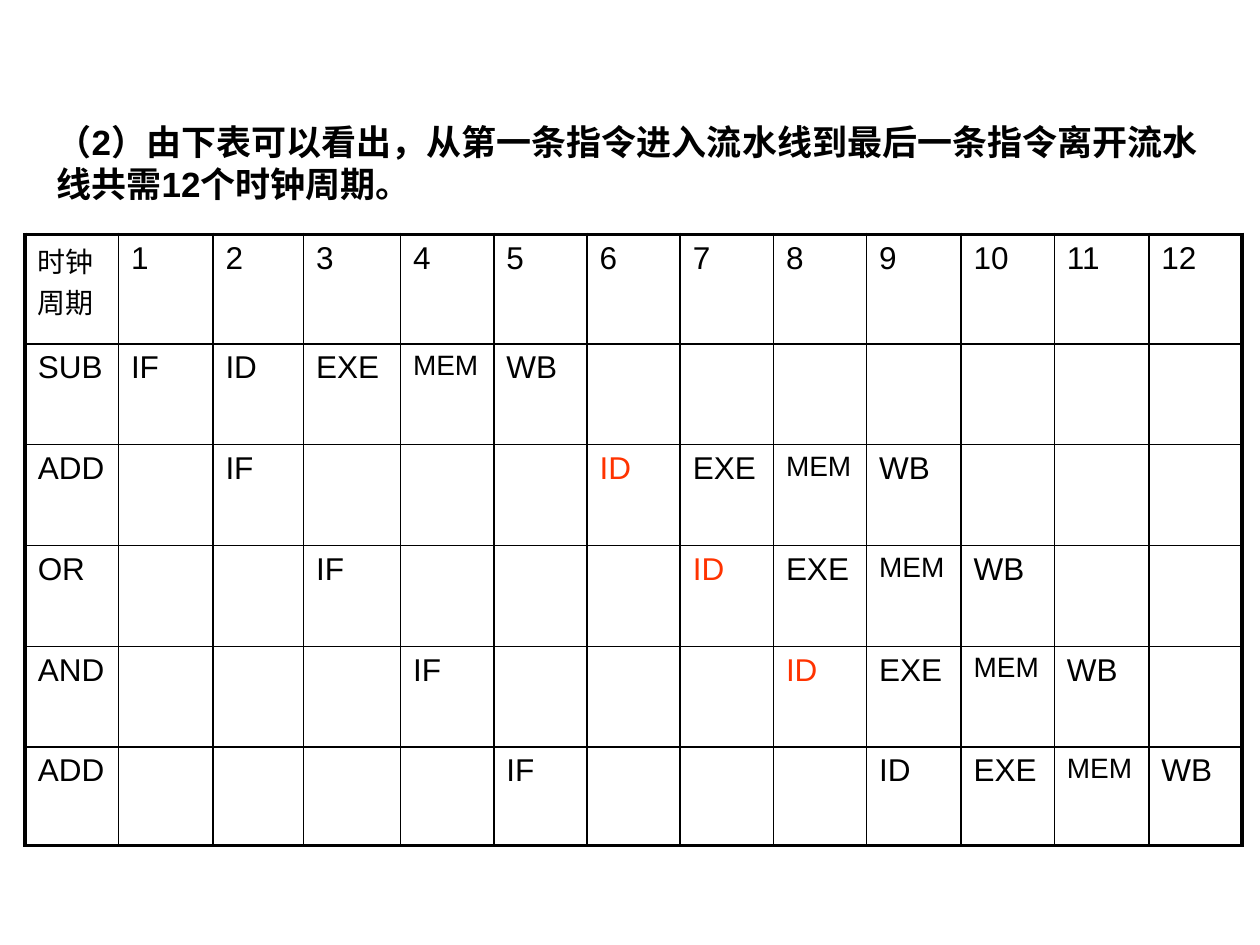
from lxml import etree
from pptx import Presentation, util as u
from pptx.dml.color import RGBColor
from pptx.enum import text
from pptx.oxml.ns import qn

BLACK, RED = "000000", "FF3300"
THIN, THICK = 1, 2.25
COLUMN_WIDTHS = [0.74, 0.75, 0.72, 0.77] + [0.74] * 5 + [0.75, 0.74, 0.75, 0.74]
ROW_HEIGHTS = [0.87, 0.8, 0.8, 0.8, 0.8, 0.78]
STAGES = ["IF", "ID", "EXE", "MEM", "WB"]
CYCLES = 12
# Instruction, fetch cycle, decode cycle, colour of the decode stage
INSTRUCTIONS = [
    ("SUB", 1, 2, BLACK),
    ("ADD", 2, 6, RED),
    ("OR", 3, 7, RED),
    ("AND", 4, 8, RED),
    ("ADD", 5, 9, BLACK),
]


def color(value):
    return RGBColor.from_string(value)


def write(frame, content, size, fill=BLACK, bold=False):
    run = frame.paragraphs[0].add_run()
    run.text = content
    font_format = {"name": "Arial", "size": u.Pt(size), "bold": bold}
    for name, value in font_format.items():
        setattr(run.font, name, value)
    run.font.color.rgb = color(fill)


def set_borders(cell, widths):
    """Draw black borders; widths maps L, R, T and B, in that order, to points."""
    properties = cell._tc.get_or_add_tcPr()
    for index, (side, width) in enumerate(widths.items()):
        line = etree.Element(qn(f"a:ln{side}"), w=str(u.Pt(width)))
        fill = etree.SubElement(line, qn("a:solidFill"))
        etree.SubElement(fill, qn("a:srgbClr"), val=BLACK)
        properties.insert(index, line)


def add_heading(slide, left, top, width, height):
    box = slide.shapes.add_textbox(*map(u.Inches, (left, top, width, height)))
    box.text_frame.word_wrap = True
    box.text_frame.auto_size = text.MSO_AUTO_SIZE.SHAPE_TO_FIT_TEXT
    write(box.text_frame,
          "（2）由下表可以看出，从第一条指令进入流水线到最后一条指令离开流水线共需12个时钟周期。",
          20, bold=True)


def pipeline_entries():
    """Map (row, column) to the wording, size and colour of each filled cell."""
    entries = {(0, 0): ("时钟周期", 16, BLACK)}
    for cycle in range(1, CYCLES + 1):
        entries[0, cycle] = (str(cycle), 18, BLACK)
    for row, (name, fetch, decode, decode_color) in enumerate(INSTRUCTIONS, 1):
        entries[row, 0] = (name, 18, BLACK)
        cycles = [fetch, *range(decode, decode + len(STAGES) - 1)]
        for stage, cycle in zip(STAGES, cycles):
            size = 16 if stage == "MEM" else 18
            fill = decode_color if stage == "ID" else BLACK
            entries[row, cycle] = (stage, size, fill)
    return entries


def add_pipeline_table(slide, left, top, width, height):
    last_row, last_column = len(ROW_HEIGHTS) - 1, len(COLUMN_WIDTHS) - 1
    table = slide.shapes.add_table(
        last_row + 1, last_column + 1,
        *map(u.Inches, (left, top, width, height))).table
    table.first_row = table.horz_banding = False
    for column, column_width in zip(table.columns, COLUMN_WIDTHS):
        column.width = u.Inches(column_width)
    for row, row_height in zip(table.rows, ROW_HEIGHTS):
        row.height = u.Inches(row_height)

    entries = pipeline_entries()
    for row in range(last_row + 1):
        for column in range(last_column + 1):
            cell = table.cell(row, column)
            cell.fill.background()
            on_edge = {"L": column == 0, "R": column == last_column,
                       "T": row == 0, "B": row == last_row}
            set_borders(cell, {side: THICK if edge else THIN
                               for side, edge in on_edge.items()})
            if (row, column) in entries:
                write(cell.text_frame, *entries[row, column])


def main():
    presentation = Presentation()
    presentation.slide_width = u.Inches(10)
    presentation.slide_height = u.Inches(7.5)
    slide = presentation.slides.add_slide(presentation.slide_layouts[6])
    add_heading(slide, 0.35, 0.91, 9.37, 0.77)
    add_pipeline_table(slide, 0.2, 1.86, 9.69, 4.87)
    presentation.save("out.pptx")


if __name__ == "__main__":
    main()
